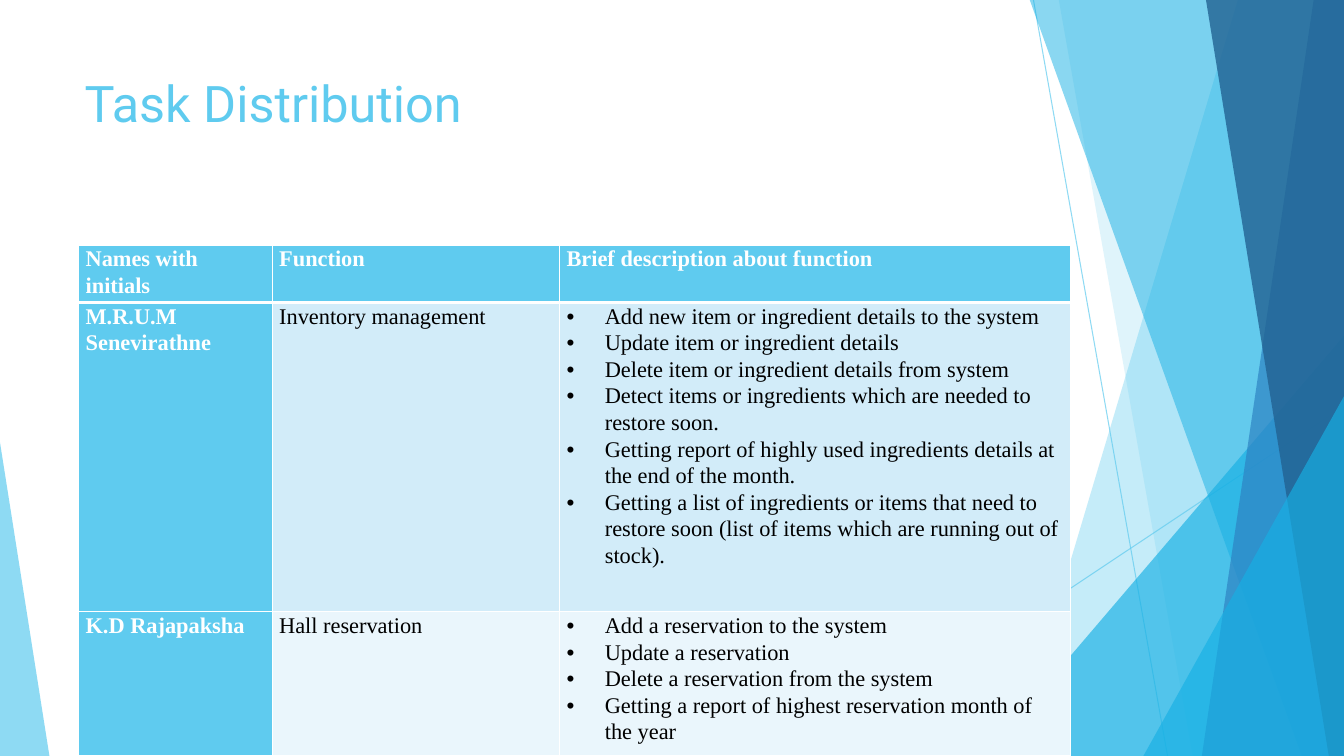
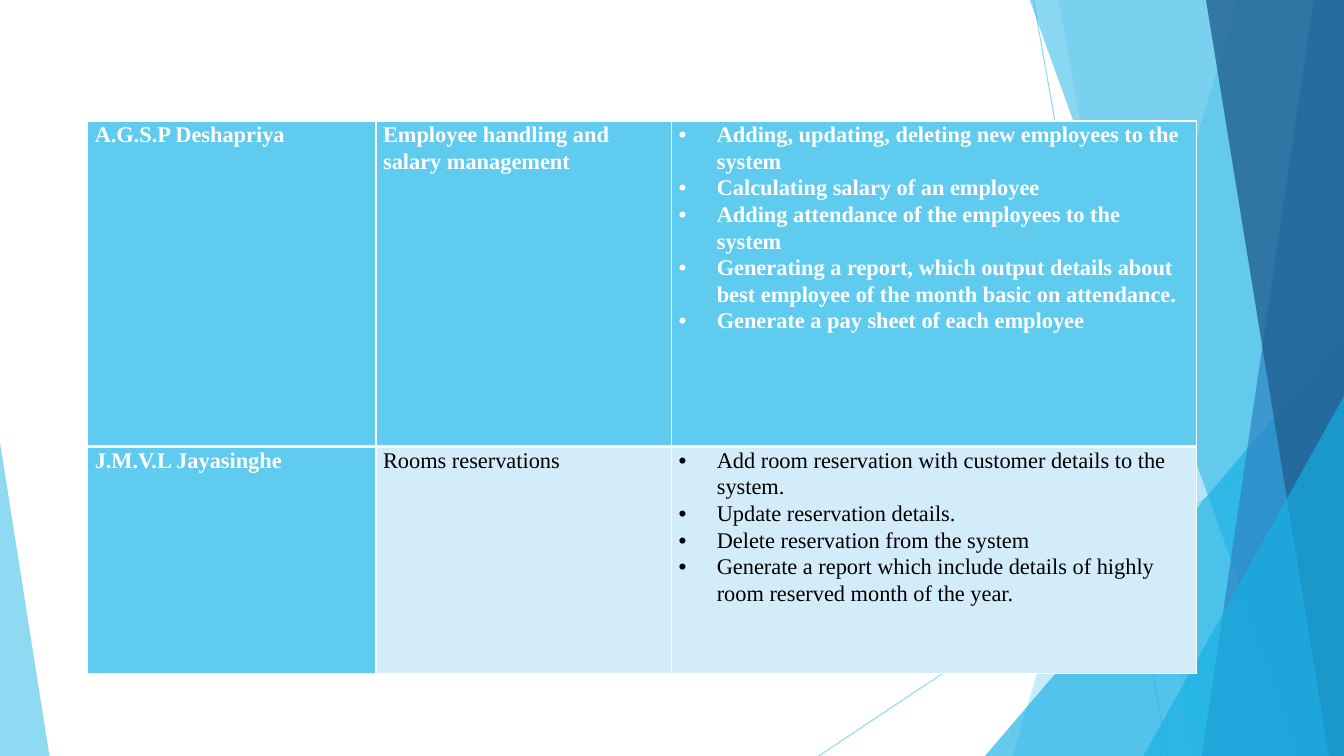
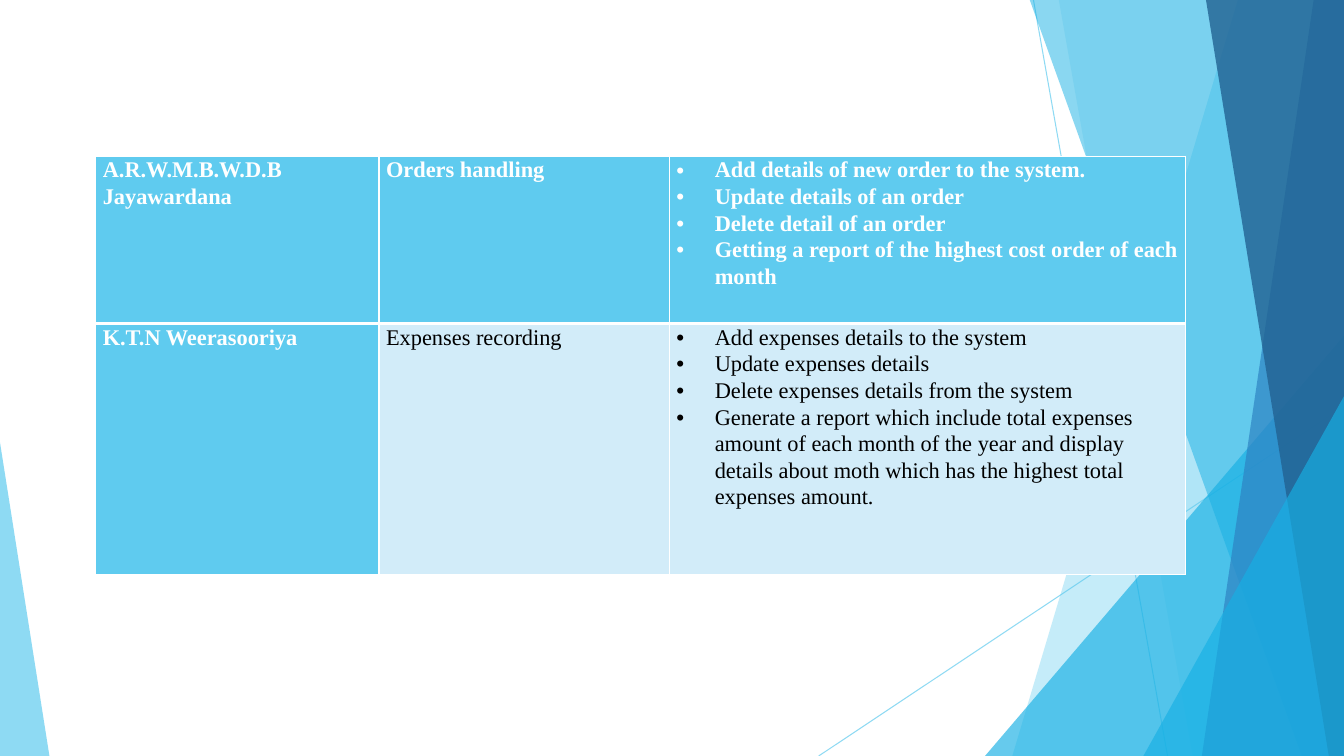
"""Build three task distribution slides with a shared faceted backdrop."""
from dataclasses import dataclass

from pptx import Presentation
from pptx import util as u
from pptx.dml.color import RGBColor
from pptx.enum import shapes, text
from pptx.oxml import parse_xml
from pptx.oxml.ns import nsdecls, qn


@dataclass(frozen=True)
class Theme:
    width: float = 13.33
    height: float = 7.5
    sky: str = "5FCBEF"
    cyan: str = "17B0E4"
    blue: str = "2E83C3"
    navy: str = "226292"
    white: str = "FFFFFF"
    black: str = "000000"
    bands: tuple = ("D2ECF9", "EAF6FC")
    title_font: str = "Roboto"
    title_size: float = 36
    body_font: str = "Times New Roman"
    body_size: float = 16
    hairline: float = 0.75
    border: float = 1
    header_border: float = 3
    line_spacing: float = 1.07
    indent: float = 0.38


T = Theme()
CELL_FORMAT = dict(margin_left=u.Inches(0.07), margin_right=u.Inches(0.07),
                   margin_top=0, margin_bottom=0)
FRAME_FORMAT = dict(word_wrap=True, vertical_anchor=text.MSO_ANCHOR.TOP)

SLIDES = [
    dict(title="Task Distribution", at=(0.78, 2.43), cols=(1.92, 2.85, 5.07),
         heights=(0.53, 3.07, 1.17), rows=[
        ("Names with initials", "Function", "Brief description about function"),
        ("M.R.U.M Senevirathne", "Inventory management", [
            "Add new item or ingredient details to the system",
            "Update item or ingredient details",
            "Delete item or ingredient details from system",
            "Detect items or ingredients which are needed to restore soon.",
            "Getting report of highly used ingredients details at the end of the month.",
            "Getting a list of ingredients or items that need to restore soon "
            "(list of items which are running out of stock)."]),
        ("K.D Rajapaksha", "Hall reservation", [
            "Add a reservation to the system",
            "Update a reservation",
            "Delete a reservation from the system",
            "Getting a report of highest reservation month of the year"])]),
    dict(at=(0.87, 1.2), cols=(2.86, 2.93, 5.21), heights=(3.23, 2.25), rows=[
        ("A.G.S.P Deshapriya", "Employee handling and salary management", [
            "Adding, updating, deleting new employees to the system",
            "Calculating salary of an employee",
            "Adding attendance of the employees to the system",
            "Generating a report, which output details about best employee "
            "of the month basic on attendance.",
            "Generate a pay sheet of each employee"]),
        ("J.M.V.L Jayasinghe", "Rooms reservations", [
            "Add room reservation with customer details to the system.",
            "Update reservation details.",
            "Delete reservation from the system",
            "Generate a report which include details of highly room reserved "
            "month of the year."])]),
    dict(at=(0.95, 1.55), cols=(2.81, 2.88, 5.12), heights=(1.66, 2.49), rows=[
        ("A.R.W.M.B.W.D.B Jayawardana", "Orders handling", [
            "Add details of new order to the system.",
            "Update details of an order",
            "Delete detail of an order",
            "Getting a report of the highest cost order of each month"]),
        ("K.T.N Weerasooriya", "Expenses recording", [
            "Add expenses details to the system",
            "Update expenses details",
            "Delete expenses details from the system",
            "Generate a report which include total expenses amount of each month "
            "of the year and display details about moth which has the highest "
            "total expenses amount."])]),
]


def apply(obj, fmt):
    """Set every attribute named in a format dict."""
    for name, value in fmt.items():
        setattr(obj, name, value)


def paint(fill, color, opacity=100):
    """Give a fill a solid colour with an opacity in percent."""
    fill.solid()
    fill.fore_color.rgb = RGBColor.from_string(color)
    if opacity < 100:
        for clr in fill._xPr.iter(qn("a:srgbClr")):
            clr.append(parse_xml(f'<a:alpha {nsdecls("a")} val="{opacity * 1000}"/>'))


def add_run(p, words, color, **fmt):
    """Add one formatted run to a paragraph."""
    r = p.add_run()
    r.text = words
    apply(r.font, fmt)
    r.font.color.rgb = RGBColor.from_string(color)


def finish(sp, color, opacity):
    """Give a backdrop shape its translucent fill and no outline."""
    sp.shadow.inherit = False
    sp.line.fill.background()
    paint(sp.fill, color, opacity)
    return sp


def add_panel(s, top_x, bottom_x, color, opacity):
    """Add a slanted panel that reaches the right edge."""
    corners = [(T.width, -0.01), (T.width, T.height), (bottom_x, T.height)]
    builder = s.shapes.build_freeform(u.Inches(top_x), u.Inches(-0.01))
    builder.add_line_segments([(u.Inches(x), u.Inches(y)) for x, y in corners])
    return finish(builder.convert_to_shape(), color, opacity)


def add_corner(s, left, top, width, apex, color, opacity):
    """Add a triangle that stands on the bottom edge."""
    sp = s.shapes.add_shape(shapes.MSO_SHAPE.ISOSCELES_TRIANGLE, u.Inches(left),
                            u.Inches(top), u.Inches(width), u.Inches(T.height - top))
    sp.adjustments[0] = apex
    return finish(sp, color, opacity)


def add_hairline(s, *ends):
    """Add a thin translucent line."""
    sp = s.shapes.add_connector(shapes.MSO_CONNECTOR.STRAIGHT, *map(u.Inches, ends))
    sp.line.width = u.Pt(T.hairline)
    paint(sp.line.fill, T.sky, 70)
    sp.element.spPr.append(parse_xml(f'<a:effectLst {nsdecls("a")}/>'))
    return sp


def add_backdrop(prs, layout):
    """Draw the shared backdrop and place it on the layout."""
    for ph in list(layout.placeholders):
        layout.shapes.element.remove(ph.element)
    s = prs.slides[0]
    for sp in [
        add_hairline(s, 10.25, 0, 11.58, T.height),
        add_hairline(s, T.width, 4.03, 8.12, T.height),
        add_panel(s, 12.28, 10.04, T.sky, 36),
        add_panel(s, 10.5, 11.83, T.sky, 20),
        add_corner(s, 9.77, 3.33, 3.56, 1, T.cyan, 66),
        add_panel(s, 10.21, 12.91, T.cyan, 50),
        add_panel(s, 13.03, 11.92, T.blue, 70),
        add_panel(s, 11.96, 13.18, T.navy, 80),
        add_corner(s, 11.34, 3.93, 1.99, 1, T.cyan, 66),
        add_corner(s, 0, 4.39, 0.49, 0, T.sky, 70),
    ]:
        layout.shapes.element.append(sp.element)


def add_title(s, words):
    """Add the slide title."""
    tf = s.shapes.add_textbox(*map(u.Inches, (0.74, 0.67, 9.4, 1.44))).text_frame
    apply(tf, FRAME_FORMAT)
    add_run(tf.paragraphs[0], words, T.sky, name=T.title_font, size=u.Pt(T.title_size))


def set_borders(cell, row):
    """Draw white cell borders, heavier under the header row."""
    widths = dict(L=T.border, R=T.border,
                  T=T.header_border if row == 1 else T.border,
                  B=T.header_border if row == 0 else T.border)
    for side, width in widths.items():
        cell._tc.get_or_add_tcPr().append(parse_xml(
            f'<a:ln{side} {nsdecls("a")} w="{u.Pt(width)}"><a:solidFill>'
            f'<a:srgbClr val="{T.white}"/></a:solidFill></a:ln{side}>'))


def set_bullet(p):
    """Give a paragraph a hanging round bullet."""
    pPr = p._p.get_or_add_pPr()
    pPr.set("marL", str(u.Inches(T.indent)))
    pPr.set("indent", str(-u.Inches(T.indent)))
    pPr.append(parse_xml(f'<a:buFont {nsdecls("a")} typeface="Arial"/>'))
    pPr.append(parse_xml(f'<a:buChar {nsdecls("a")} char="•"/>'))


def fill_cell(cell, content, row, col):
    """Write a cell, with a list shown as bullets."""
    strong = row == 0 or col == 0
    apply(cell, CELL_FORMAT)
    set_borders(cell, row)
    paint(cell.fill, T.sky if strong else T.bands[(row - 1) % len(T.bands)])
    bulleted = isinstance(content, list)
    tf = cell.text_frame
    for i, words in enumerate(content if bulleted else [content]):
        p = tf.add_paragraph() if i else tf.paragraphs[0]
        p.line_spacing = T.line_spacing
        if bulleted:
            set_bullet(p)
        add_run(p, words, T.white if strong else T.black, name=T.body_font,
                size=u.Pt(T.body_size), bold=strong)


def add_tasks(s, at, cols, heights, rows):
    """Add a task table."""
    box = (*at, sum(cols), sum(heights))
    table = s.shapes.add_table(len(rows), len(cols), *map(u.Inches, box)).table
    apply(table, dict(first_row=True, first_col=True, horz_banding=False))
    for column, width in zip(table.columns, cols):
        column.width = u.Inches(width)
    for i, (row, height) in enumerate(zip(table.rows, heights)):
        row.height = u.Inches(height)
        for j, content in enumerate(rows[i]):
            fill_cell(table.cell(i, j), content, i, j)


def main():
    """Build and save the presentation."""
    prs = Presentation()
    apply(prs, dict(slide_width=u.Inches(T.width), slide_height=u.Inches(T.height)))
    layout = prs.slide_layouts[6]
    for content in SLIDES:
        s = prs.slides.add_slide(layout)
        if "title" in content:
            add_title(s, content["title"])
        add_tasks(s, *(content[key] for key in ("at", "cols", "heights", "rows")))
    add_backdrop(prs, layout)
    prs.save("out.pptx")


if __name__ == "__main__":
    main()
